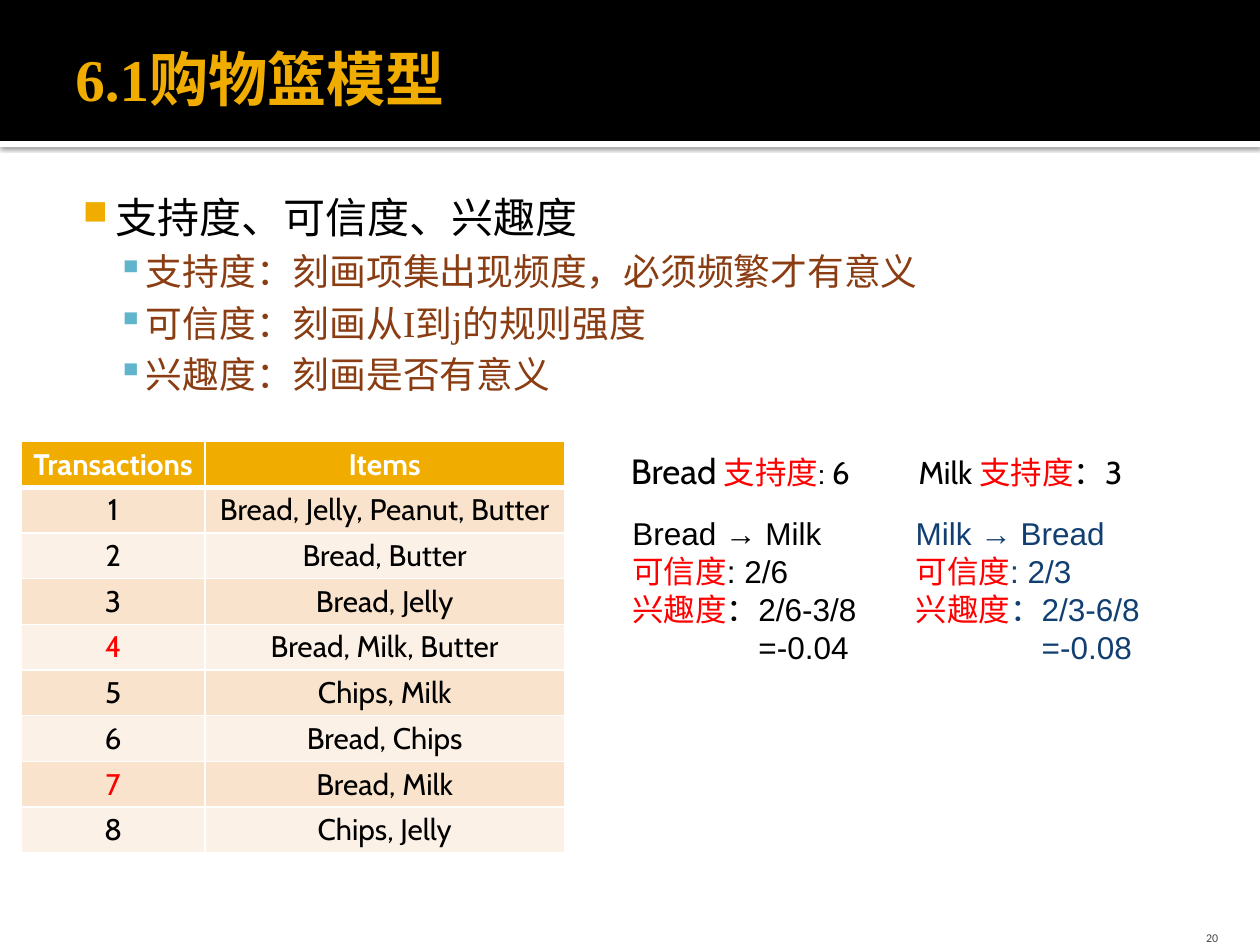
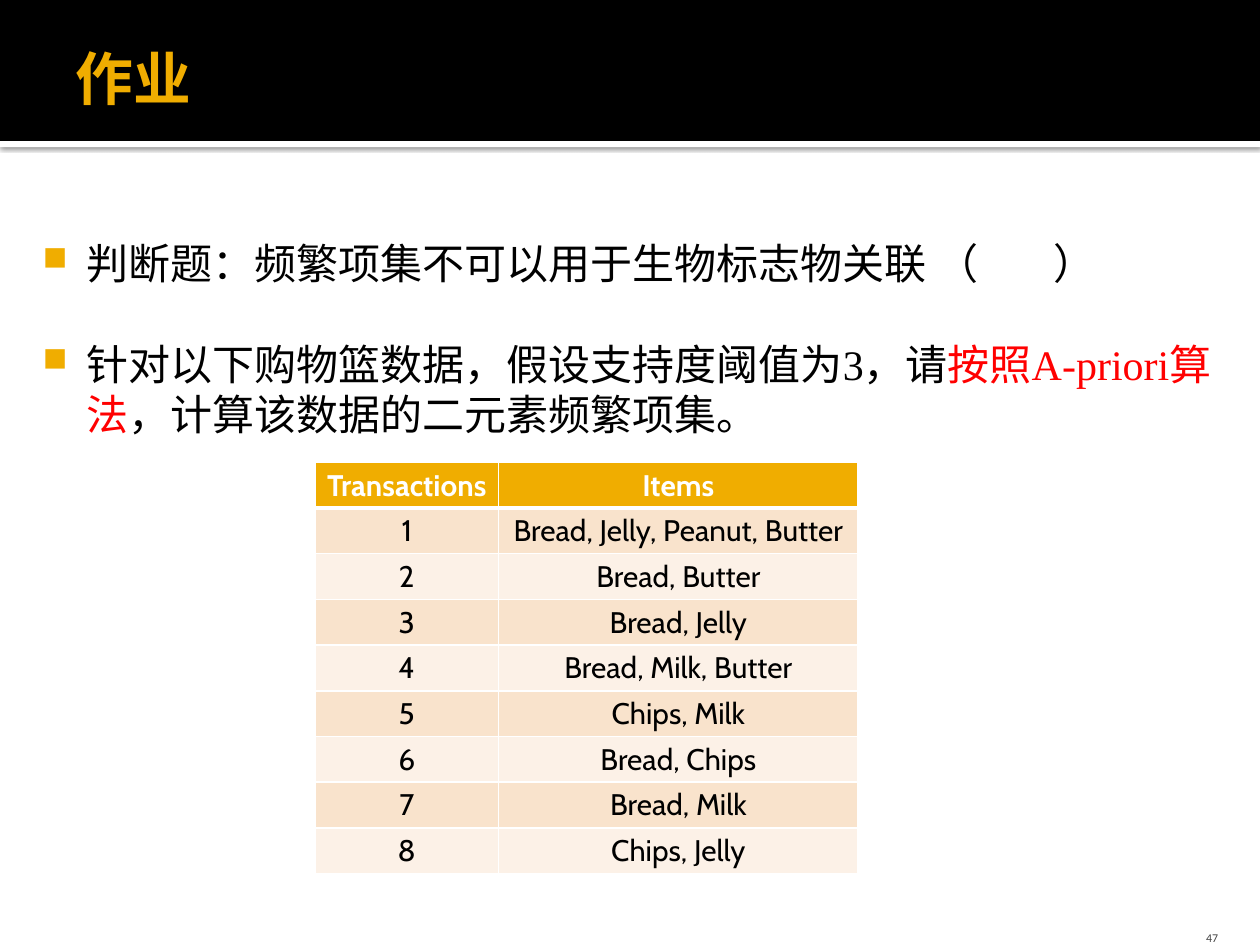
"""Build two slides on the market-basket model: its measures and the homework."""
import dataclasses
import typing

import lxml.etree
import pptx
import pptx.dml.color
import pptx.enum.shapes
import pptx.enum.text
import pptx.oxml.ns
import pptx.slide
import pptx.util

Cm = pptx.util.Cm
Pt = pptx.util.Pt
qn = pptx.oxml.ns.qn
Align = pptx.enum.text.PP_ALIGN
Anchor = pptx.enum.text.MSO_ANCHOR

COLORS = {
    "black": "000000",
    "white": "FFFFFF",
    "gold": "F0AD00",
    "teal": "60B5CC",
    "brown": "8A3C12",
    "red": "FF0000",
    "navy": "113F71",
    "gray": "454545",
    "band_dark": "F9E3CC",
    "band_light": "FCF1E7",
}
BASKETS = (
    "Bread, Jelly, Peanut, Butter",
    "Bread, Butter",
    "Bread, Jelly",
    "Bread, Milk, Butter",
    "Chips, Milk",
    "Bread, Chips",
    "Bread, Milk",
    "Chips, Jelly",
)


@dataclasses.dataclass(frozen=True)
class Style:
    font: str
    size: float
    color: str = "black"
    bold: bool = False


@dataclasses.dataclass(frozen=True)
class Bullet:
    character: str
    color: str
    margin: float
    hanging: float
    percent: int = 100
    level: int = 0


@dataclasses.dataclass(frozen=True)
class Line:
    runs: tuple[tuple[str, Style], ...]
    bullet: typing.Optional[Bullet] = None
    space_before: float = 0
    tab: typing.Optional[float] = None
    align: typing.Any = Align.LEFT


@dataclasses.dataclass(frozen=True)
class Box:
    left: float
    top: float
    width: float
    height: float
    insets: tuple[float, float, float, float] = (0.25, 0.13, 0.25, 0.13)
    anchor: typing.Any = Anchor.TOP


TITLE_BOX = Box(1.27, 0.2, 22.86, 2.74, (0.25, 0.13, 0.13, 0.13), Anchor.MIDDLE)
NUMBER_BOX = Box(22.78, 18.29, 2.03, 0.76, (0.25, 0.13, 0.25, 0), Anchor.BOTTOM)
TOPIC_BULLET = Bullet("■", "gold", 0.91, 0.66, 80)
DETAIL_BULLET = Bullet("▪", "teal", 1.52, 0.58, level=1)
TASK_BULLET = Bullet("■", "gold", 1.22, 0.89, 80)
TOPIC = Style("Calibri", 24)
DETAIL = Style("Times New Roman", 21, "brown")
TASK = Style("Times New Roman", 24)
RULE = Style("Arial", 18)
CELL = Style("Cabin", 17)


def recolor(style: Style, color: str) -> Style:
    return dataclasses.replace(style, color=color)


def rgb(color: str) -> pptx.dml.color.RGBColor:
    return pptx.dml.color.RGBColor.from_string(COLORS[color])


def add_element(parent: typing.Any, tag: str, **attributes: typing.Any) -> typing.Any:
    values = {name: str(value) for name, value in attributes.items()}
    return lxml.etree.SubElement(parent, qn(tag), values)


def add_run(paragraph: typing.Any, text: str, style: Style) -> None:
    run = paragraph.add_run()
    run.text = text
    run.font.name = style.font
    run.font.size = Pt(style.size)
    run.font.bold = style.bold
    run.font.color.rgb = rgb(style.color)


def write_line(paragraph: typing.Any, line: Line) -> None:
    paragraph.alignment = line.align
    if line.space_before:
        paragraph.space_before = Pt(line.space_before)
    properties = paragraph._p.get_or_add_pPr()
    if line.bullet:
        bullet = line.bullet
        paragraph.level = bullet.level
        properties.set("marL", str(Cm(bullet.margin)))
        properties.set("indent", str(-Cm(bullet.hanging)))
        color = add_element(properties, "a:buClr")
        add_element(color, "a:srgbClr", val=COLORS[bullet.color])
        add_element(properties, "a:buSzPct", val=bullet.percent * 1000)
        add_element(properties, "a:buChar", char=bullet.character)
    if line.tab:
        tabs = add_element(properties, "a:tabLst")
        add_element(tabs, "a:tab", pos=Cm(line.tab), algn="l")
    for text, style in line.runs:
        add_run(paragraph, text, style)


def add_text(slide: pptx.slide.Slide, box: Box, lines: typing.Sequence[Line]) -> None:
    shape = slide.shapes.add_textbox(Cm(box.left), Cm(box.top), Cm(box.width), Cm(box.height))
    frame = shape.text_frame
    frame.word_wrap = True
    frame.vertical_anchor = box.anchor
    frame.margin_left, frame.margin_top, frame.margin_right, frame.margin_bottom = map(Cm, box.insets)
    for index, line in enumerate(lines):
        paragraph = frame.add_paragraph() if index else frame.paragraphs[0]
        write_line(paragraph, line)


def add_band(slide: pptx.slide.Slide, top: float, height: float, color: str) -> typing.Any:
    shape = slide.shapes.add_shape(
        pptx.enum.shapes.MSO_SHAPE.RECTANGLE, 0, Cm(top), Cm(25.4), Cm(height)
    )
    shape.shadow.inherit = False
    shape.fill.solid()
    shape.fill.fore_color.rgb = rgb(color)
    shape.line.fill.background()
    return shape


def add_frame(slide: pptx.slide.Slide, title: str, size: float, number: int) -> None:
    strip = add_band(slide, 2.84, 0.13, "white")
    effects = strip._element.spPr.find(qn("a:effectLst"))
    shadow = add_element(
        effects, "a:outerShdw", blurRad=Pt(2.5), dist=Pt(0.8), dir=5400000, algn="tl", rotWithShape=0
    )
    color = add_element(shadow, "a:srgbClr", val=COLORS["black"])
    add_element(color, "a:alpha", val=60000)
    add_band(slide, 0, 2.84, "black")
    add_text(slide, TITLE_BOX, [Line(((title, Style("Times New Roman", size, "gold", True)),))])
    number_style = Style("Calibri", 6.8, "gray")
    add_text(slide, NUMBER_BOX, [Line(((str(number), number_style),), align=Align.RIGHT)])


def set_borders(cell: typing.Any, top: float, bottom: float) -> None:
    properties = cell._tc.get_or_add_tcPr()
    widths = {"a:lnL": 1, "a:lnR": 1, "a:lnT": top, "a:lnB": bottom}
    for index, (tag, width) in enumerate(widths.items()):
        border = add_element(properties, tag, w=Pt(width))
        fill = add_element(border, "a:solidFill")
        add_element(fill, "a:srgbClr", val=COLORS["white"])
        properties.insert(index, border)


def add_baskets(
    slide: pptx.slide.Slide, left: float, top: float, marked: tuple[int, ...] = ()
) -> None:
    rows = [("Transactions", "Items")]
    rows += [(str(number), items) for number, items in enumerate(BASKETS, 1)]
    graphic = slide.shapes.add_table(len(rows), 2, Cm(left), Cm(top), Cm(10.95), Cm(8.19))
    table = graphic.table
    table.horz_banding = False
    for column, width in zip(table.columns, (3.7, 7.25)):
        column.width = Cm(width)
    for row, values in enumerate(rows):
        table.rows[row].height = Cm(0.91)
        for column, text in enumerate(values):
            cell = table.cell(row, column)
            cell.vertical_anchor = Anchor.MIDDLE
            cell.margin_left = cell.margin_right = Cm(0.18)
            cell.margin_top = cell.margin_bottom = Cm(0.1)
            cell.fill.solid()
            style = CELL
            if row == 0:
                fill = "gold"
                style = Style("Cabin", 17, "white", True)
            else:
                fill = "band_dark" if row % 2 else "band_light"
                if row in marked and column == 0:
                    style = recolor(CELL, "red")
            cell.fill.fore_color.rgb = rgb(fill)
            set_borders(cell, top=3 if row == 1 else 1, bottom=3 if row == 0 else 1)
            write_line(cell.text_frame.paragraphs[0], Line(((text, style),), align=Align.CENTER))


def add_rule(
    slide: pptx.slide.Slide, box: Box, color: str, rule: str, confidence: str, interest: str, result: str
) -> None:
    plain, red = recolor(RULE, color), recolor(RULE, "red")
    add_text(slide, box, [
        Line(((rule, plain),)),
        Line((("可信度", red), (f": {confidence}", plain))),
        Line((("兴趣度", red), (f"：{interest}", plain))),
        Line(((f"\t={result}", plain),), tab=2.54),
    ])


def build_measures(slide: pptx.slide.Slide) -> None:
    add_frame(slide, "6.1购物篮模型", 33.8, 20)
    details = (
        "支持度：刻画项集出现频度，必须频繁才有意义",
        "可信度：刻画从I到j的规则强度",
        "兴趣度：刻画是否有意义",
    )
    lines = [Line((("支持度、可信度、兴趣度", TOPIC),), TOPIC_BULLET)]
    lines += [Line(((detail, DETAIL),), DETAIL_BULLET, 4.2) for detail in details]
    add_text(slide, Box(1.27, 3.61, 22.86, 14.6, (0.15, 0.25, 0.25, 0.13)), lines)
    add_baskets(slide, 0.43, 8.9, marked=(4, 7))
    support = Style("Cabin", 18)
    red = recolor(support, "red")
    add_text(slide, Box(12.47, 8.94, 11.48, 1.12), [Line((
        ("Bread", Style("Cabin", 20)),
        (" ", support),
        ("支持度", red),
        (": 6\tMilk ", support),
        ("支持度", red),
        ("：3", support),
    ), tab=5.8)])
    add_rule(slide, Box(12.5, 10.24, 6.78, 3.33), "black", "Bread → Milk", "2/6", "2/6-3/8", "-0.04")
    add_rule(slide, Box(18.21, 10.24, 6.99, 3.33), "navy", "Milk → Bread", "2/3", "2/3-6/8", "-0.08")


def build_homework(slide: pptx.slide.Slide) -> None:
    add_frame(slide, "作业", 33, 47)
    add_text(slide, Box(0.43, 4.6, 24.82, 11.76, (0.1, 0.18, 0.25, 0.13)), [
        Line((("判断题：频繁项集不可以用于生物标志物关联 （\t）", TASK),), TASK_BULLET, tab=20.7),
        Line((
            ("针对以下购物篮数据，假设支持度阈值为3，请", TASK),
            ("按照A-priori算法", recolor(TASK, "red")),
            ("，计算该数据的二元素频繁项集。", TASK),
        ), TASK_BULLET, 29),
    ])
    add_baskets(slide, 6.35, 9.32)


def main() -> None:
    presentation = pptx.Presentation()
    presentation.slide_width = Cm(25.4)
    presentation.slide_height = Cm(19.05)
    for build in (build_measures, build_homework):
        build(presentation.slides.add_slide(presentation.slide_layouts[6]))
    presentation.save("out.pptx")


if __name__ == "__main__":
    main()
